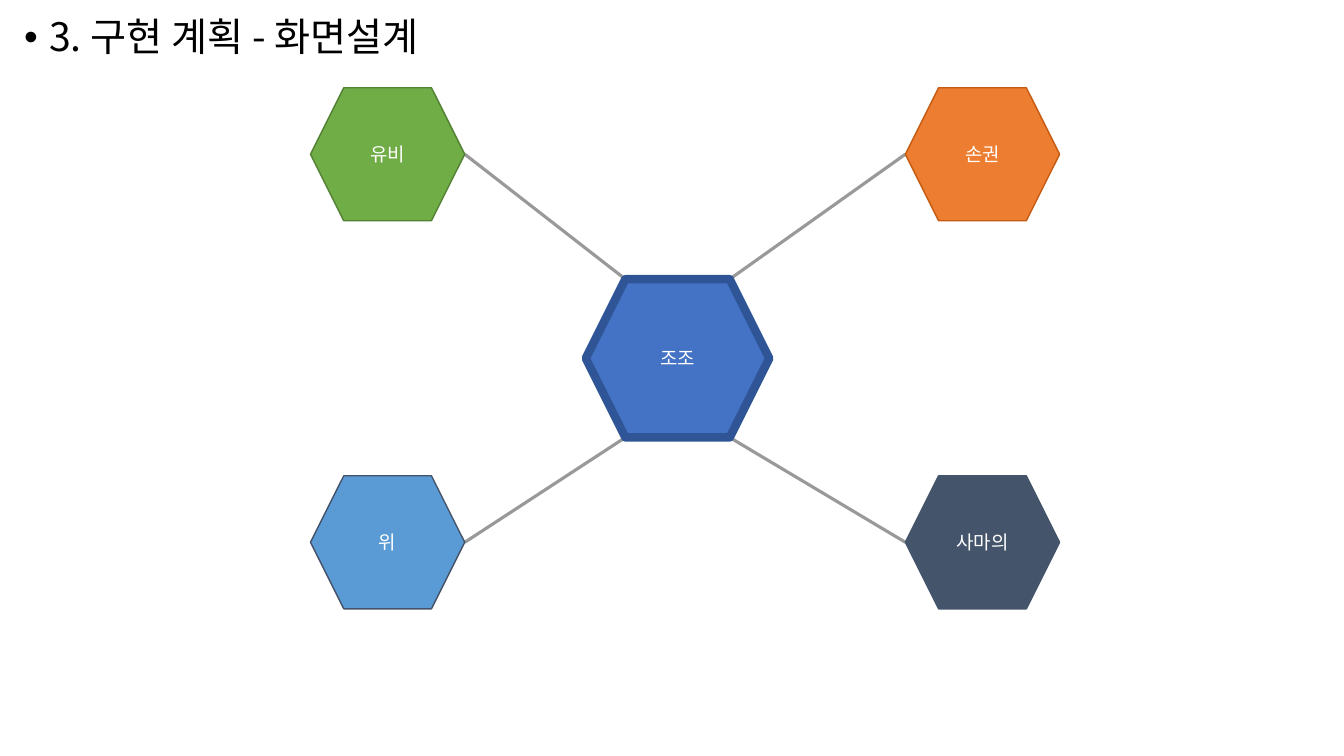
"""Build a slide with a hub hexagon linked to four corner hexagons."""
from lxml import etree
from pptx import Presentation, util as u
from pptx.dml.color import RGBColor
from pptx.enum import shapes, text
from pptx.oxml import ns

FONT = "Noto Sans CJK KR"
HUB = (5.81, 2.77, 1.82, 1.57)
COLUMNS = (3.08, 8.98)
ROWS = (0.87, 4.72)
NODE_WIDTH, NODE_HEIGHT = 1.53, 1.32
HEXAGON_INSET = 0.25
NODES = [
    ("손권", 1, 0, "ED7D31", "C55A11"),
    ("사마의", 1, 1, "44546A", "44546A"),
    ("유비", 0, 0, "70AD47", "548235"),
    ("위", 0, 1, "5B9BD5", "44546A"),
]


def color(value):
    """Turn a hex string into a colour."""
    return RGBColor.from_string(value)


def add_element(parent, tag, **attributes):
    """Append a drawing element with the given attributes."""
    return etree.SubElement(parent, ns.qn(tag), attributes)


def format_run(run, size, hex_color):
    """Set the font, size and colour of a run."""
    run.font.size = u.Pt(size)
    run.font.name = FONT
    run.font.color.rgb = color(hex_color)
    add_element(run.font._element, "a:ea", typeface=FONT)


def add_hexagon(slide, label, box, fill, outline, line_width):
    """Draw a labelled hexagon."""
    shape = slide.shapes.add_shape(shapes.MSO_SHAPE.HEXAGON, *map(u.Inches, box))
    shape.shadow.inherit = False
    shape.fill.solid()
    shape.fill.fore_color.rgb = color(fill)
    shape.line.color.rgb = color(outline)
    shape.line.width = u.Pt(line_width)
    shape.text_frame.text = label
    shape.text_frame.vertical_anchor = text.MSO_ANCHOR.MIDDLE
    paragraph = shape.text_frame.paragraphs[0]
    paragraph.alignment = text.PP_ALIGN.CENTER
    format_run(paragraph.runs[0], 13.5, "FFFFFF")


def add_link(slide, column, row):
    """Join a hub corner to the inner tip of the node in a grid cell."""
    left, top, width, height = HUB
    inset = HEXAGON_INSET * height
    start = ((left + inset, left + width - inset)[column], top + row * height)
    end = (COLUMNS[column] + (1 - column) * NODE_WIDTH, ROWS[row] + NODE_HEIGHT / 2)
    link = slide.shapes.add_connector(
        shapes.MSO_CONNECTOR.STRAIGHT, *map(u.Inches, start + end))
    link.line.color.rgb = color("999999")
    link.line.width = u.Pt(2.25)
    add_element(link._element.spPr, "a:effectLst")


def add_title(slide, title):
    """Write the bulleted heading."""
    box = slide.shapes.add_textbox(*map(u.Inches, (0.14, 0.13, 10, 0.88)))
    box.text_frame.word_wrap = True
    box.text_frame.text = title
    paragraph = box.text_frame.paragraphs[0]
    paragraph.line_spacing = 0.9
    paragraph.space_before = u.Pt(10)
    properties = paragraph._p.get_or_add_pPr()
    indent = u.Inches(0.25)
    properties.set("marL", str(indent))
    properties.set("indent", str(-indent))
    add_element(properties, "a:buFont", typeface="Arial")
    add_element(properties, "a:buChar", char="•")
    format_run(paragraph.runs[0], 28, "000000")


def main():
    """Build and save the presentation."""
    presentation = Presentation()
    presentation.slide_width = u.Inches(13.33)
    presentation.slide_height = u.Inches(7.5)
    slide = presentation.slides.add_slide(presentation.slide_layouts[6])
    for _, column, row, _, _ in NODES:
        add_link(slide, column, row)
    add_hexagon(slide, "조조", HUB, "4472C4", "2F5597", 6)
    for label, column, row, fill, outline in NODES:
        box = (COLUMNS[column], ROWS[row], NODE_WIDTH, NODE_HEIGHT)
        add_hexagon(slide, label, box, fill, outline, 1)
    add_title(slide, "3. 구현 계획 - 화면설계")
    presentation.save("out.pptx")


if __name__ == "__main__":
    main()
